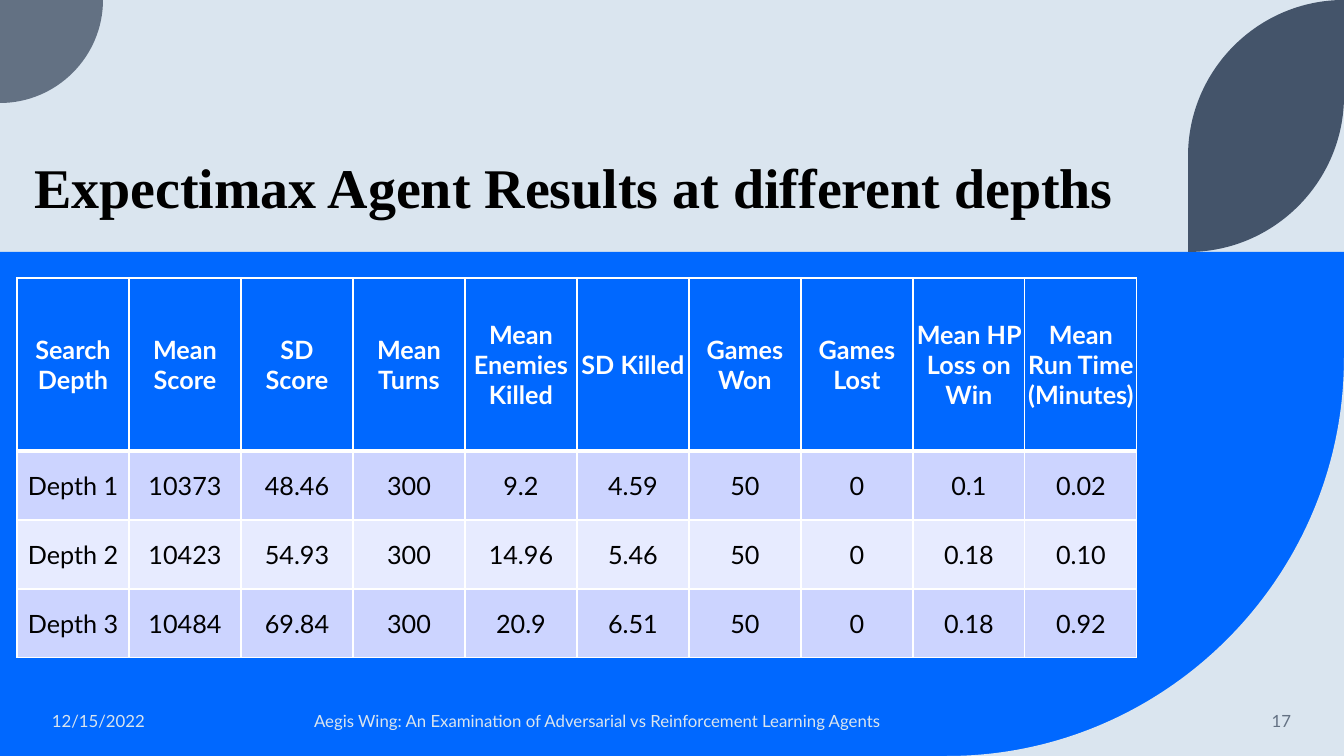
from lxml.etree import SubElement
from pptx import Presentation
from pptx.dml.color import RGBColor
from pptx.enum.shapes import MSO_SHAPE
from pptx.enum.text import MSO_ANCHOR, MSO_AUTO_SIZE, PP_ALIGN
from pptx.oxml.ns import qn
from pptx.util import Pt

PX = 12192000 / 1344
ARC = 0.55
COLORS = {
    "pale": "DAE5EF",
    "blue": "0068FF",
    "gray": "637183",
    "slate": "44546A",
    "white": "FFFFFF",
    "black": "000000",
    "band_dark": "CCD4FF",
    "band_light": "E7EBFF",
}
HEADERS = [
    "Search Depth", "Mean\nScore", "SD\nScore", "Mean\nTurns",
    "Mean Enemies Killed", "SD Killed", "Games Won", "Games Lost",
    "Mean HP Loss on Win", "Mean Run Time (Minutes)",
]
RESULTS = [
    ["Depth 1", "10373", "48.46", "300", "9.2", "4.59", "50", "0", "0.1", "0.02"],
    ["Depth 2", "10423", "54.93", "300", "14.96", "5.46", "50", "0", "0.18", "0.10"],
    ["Depth 3", "10484", "69.84", "300", "20.9", "6.51", "50", "0", "0.18", "0.92"],
]


def rgb(name):
    return RGBColor.from_string(COLORS[name])


def px(*values):
    return [round(v * PX) for v in values]


def paint(sp, color):
    sp.fill.solid()
    sp.fill.fore_color.rgb = rgb(color)
    sp.line.fill.background()
    sp.shadow.inherit = False


def write(tf, text, size=18, color="black", font="Lato", bold=False,
          align=PP_ALIGN.LEFT, anchor=MSO_ANCHOR.MIDDLE, spacing=None):
    tf.word_wrap = True
    tf.vertical_anchor = anchor
    for i, line in enumerate(text.split("\n")):
        p = tf.paragraphs[0] if i == 0 else tf.add_paragraph()
        p.alignment = align
        p.line_spacing = spacing
        r = p.add_run()
        r.text = line
        r.font.size = Pt(size)
        r.font.name = font
        r.font.bold = bold
        r.font.color.rgb = rgb(color)


def toward(point, corner):
    return tuple(a + (b - a) * ARC for a, b in zip(point, corner))


def add_outline(s, start, steps, color, rotation=0):
    points, curves, here = [], [], start
    for *corner, end in steps:
        if corner:
            curves.append(len(points))
            points += [toward(here, corner[0]), toward(end, corner[0])]
        points.append(end)
        here = end
    builder = s.shapes.build_freeform(*px(*start))
    builder.add_line_segments([px(*point) for point in points], close=True)
    sp = builder.convert_to_shape()
    lines = list(sp.element.iter(qn("a:lnTo")))
    for first in curves:
        curve = SubElement(lines[first].getparent(), qn("a:cubicBezTo"))
        lines[first].addprevious(curve)
        for line in lines[first:first + 3]:
            curve.append(line[0])
            line.getparent().remove(line)
    sp.rotation = rotation
    paint(sp, color)


def add_background(s):
    s.background.fill.solid()
    s.background.fill.fore_color.rgb = rgb("pale")
    panel = s.shapes.add_shape(MSO_SHAPE.RECTANGLE, *px(0, 252, 1344, 504))
    paint(panel, "blue")
    add_outline(s, (1344, 358),
                [((1344, 756), (947, 756)), ((1344, 756),)], "pale")
    add_outline(s, (0, 0), [((103, 0),), ((103, 103), (0, 103))], "gray")
    add_outline(s, (1140, 48),
                [((1236, 48),), ((1392, 48), (1392, 204)),
                 ((1296, 204),), ((1140, 204), (1140, 48))], "slate", rotation=90)


def add_title(s, text):
    sp = s.shapes.title
    sp.left, sp.top, sp.width, sp.height = px(24, 79, 1179, 146)
    sp.text_frame.auto_size = MSO_AUTO_SIZE.NONE
    write(sp.text_frame, text, size=40, font="Times New Roman", bold=True,
          anchor=MSO_ANCHOR.BOTTOM, spacing=2.0)
    sp.element.getparent().append(sp.element)


def add_footer(s, text, left, width, **style):
    sp = s.shapes.add_textbox(*px(left, 701, width, 40))
    write(sp.text_frame, text, size=12, **style)


def add_borders(cell, **widths):
    tcPr = cell._tc.get_or_add_tcPr()
    for side, width in widths.items():
        ln = SubElement(tcPr, qn(f"a:ln{side}"), w=str(Pt(width)))
        fill = SubElement(ln, qn("a:solidFill"))
        SubElement(fill, qn("a:srgbClr"), val=COLORS["white"])


def add_results_table(s):
    rows = [HEADERS] + RESULTS
    heights = [173] + [69] * len(RESULTS)
    table = s.shapes.add_table(
        len(rows), len(HEADERS), *px(17, 278, 1120, sum(heights))).table
    for i, (values, height) in enumerate(zip(rows, heights)):
        header = i == 0
        table.rows[i].height = px(height)[0]
        fill = "blue" if header else "band_dark" if i % 2 else "band_light"
        for j, value in enumerate(values):
            cell = table.cell(i, j)
            cell.margin_left = cell.margin_right = 0
            cell.margin_top = cell.margin_bottom = 0
            if header:
                add_borders(cell, L=1, R=1, T=1, B=3)
            cell.fill.solid()
            cell.fill.fore_color.rgb = rgb(fill)
            write(cell.text_frame, value, bold=header, align=PP_ALIGN.CENTER,
                  color="white" if header else "black")
            cell.vertical_anchor = MSO_ANCHOR.MIDDLE


def main():
    prs = Presentation()
    prs.slide_width, prs.slide_height = px(1344, 756)
    s = prs.slides.add_slide(prs.slide_layouts[5])
    add_background(s)
    add_title(s, "Expectimax Agent Results at different depths")
    add_footer(s, "12/15/2022", 42, 302, color="pale")
    add_footer(s, "Aegis Wing: An Examination of Adversarial vs Reinforcement Learning Agents",
               296, 603, color="pale", align=PP_ALIGN.CENTER)
    add_footer(s, "17", 1125, 176, color="gray", align=PP_ALIGN.RIGHT)
    add_results_table(s)
    prs.save("out.pptx")


if __name__ == "__main__":
    main()
